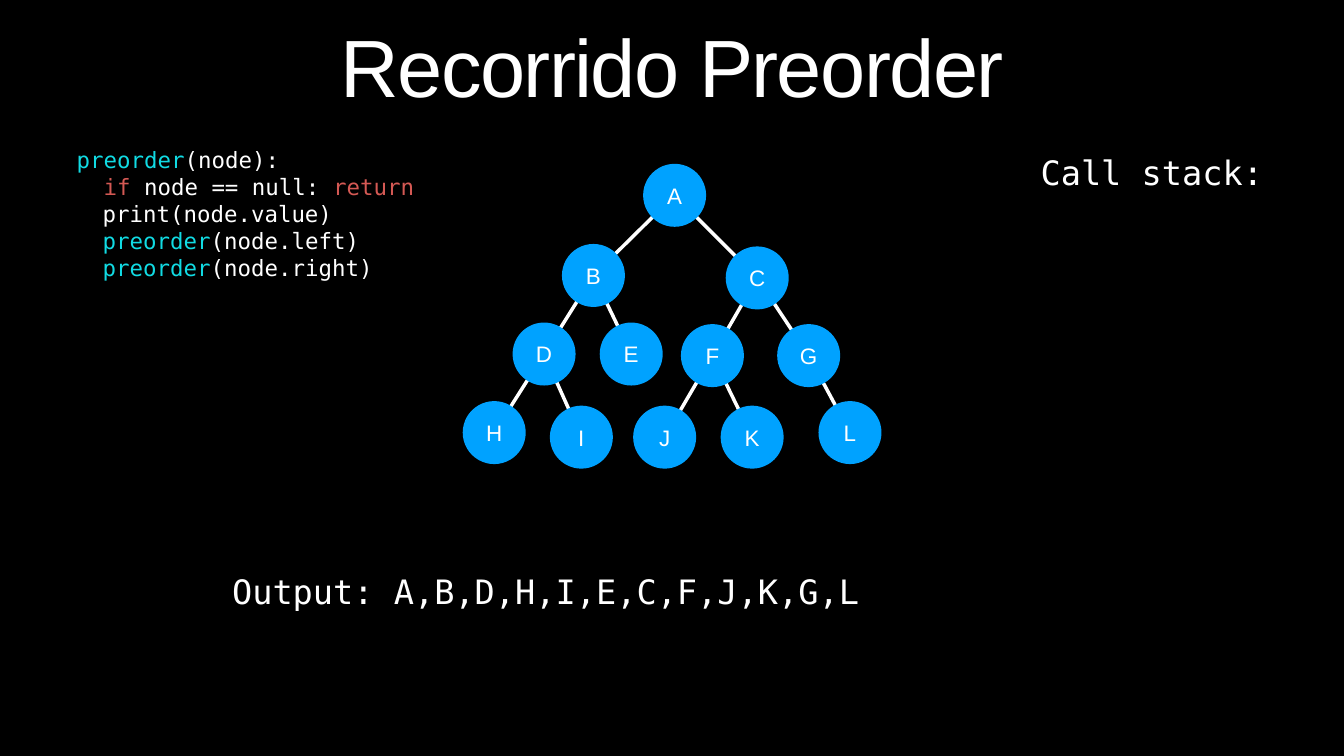
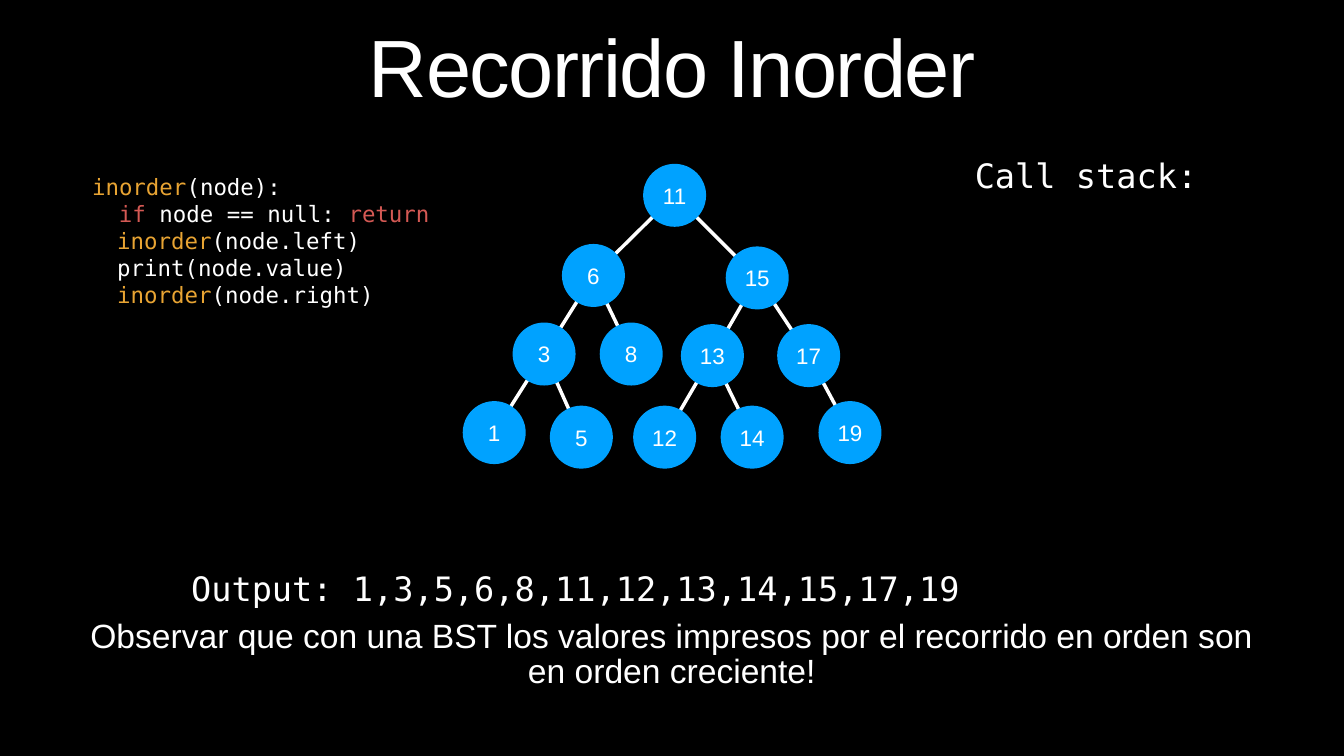
from dataclasses import dataclass
from math import hypot

from lxml import etree
from pptx import Presentation
from pptx.dml.color import RGBColor
from pptx.enum.shapes import MSO_CONNECTOR, MSO_SHAPE
from pptx.enum.text import MSO_ANCHOR, MSO_AUTO_SIZE, PP_ALIGN
from pptx.oxml.ns import qn
from pptx.util import Pt

LEFT, CENTER = PP_ALIGN.LEFT, PP_ALIGN.CENTER
TOP, MIDDLE = MSO_ANCHOR.TOP, MSO_ANCHOR.MIDDLE
FIXED, GROW = MSO_AUTO_SIZE.NONE, MSO_AUTO_SIZE.SHAPE_TO_FIT_TEXT
OVAL, STRAIGHT = MSO_SHAPE.OVAL, MSO_CONNECTOR.STRAIGHT


@dataclass(frozen=True)
class Theme:
    back: str = "000000"
    text: str = "FFFFFF"
    node: str = "00A2FF"
    key: str = "D45954"
    cyan: str = "11DBE3"
    gold: str = "E8A433"
    sans: str = "Arial"
    mono: str = "DejaVu Sans Mono"
    head: int = 116
    large: int = 48
    small: int = 32
    edge: int = 5


THEME = Theme()
WIDTH, HEIGHT = 1920, 1080
TITLE_BOX = (381, 27.5, 1158.5, 155.5)
RADIUS, TRIM = 45, 43
CODE_SIZE = (540.5, 201.5)

CENTERS = [
    (963.75, 279),
    (847.75, 393.5), (1081.75, 397),
    (777.25, 505.75), (901.75, 505.75), (1017.75, 508), (1155.25, 508),
    (706, 618), (830.5, 624.5), (949.5, 624.5), (1074.5, 624.5), (1214.25, 618),
]
PARENTS = {1: 0, 2: 0, 3: 1, 4: 1, 5: 2, 6: 2, 7: 3, 8: 3, 9: 5, 10: 5, 11: 6}

GUARD = [("if", "key"), (" node == null: ", "text"), ("return", "key")]
PRINT = [("print(node.value)", "text")]


def call(name, hue, arg):
    return [(name, hue), (f"({arg})", "text")]


SLIDES = [
    {
        "title": "Recorrido Preorder",
        "nodes": "A B C D E F G H I J K L".split(),
        "stack": (1480.5, 211.5, 377.5, 127.5),
        "output": ("Output: A,B,D,H,I,E,C,F,J,K,G,L", (325.5, 809.5, 1269.5, 69)),
        "code": [
            (0, [("preorder", "cyan"), ("(node):", "text")]),
            (38.5, GUARD),
            (37.25, PRINT),
            (37.25, call("preorder", "cyan", "node.left")),
            (37.25, call("preorder", "cyan", "node.right")),
        ],
        "corner": (103.5, 203),
    },
    {
        "title": "Recorrido Inorder",
        "nodes": "11 6 15 3 8 13 17 1 5 12 14 19".split(),
        "stack": (1386.5, 215.5, 377.5, 69),
        "output": ("Output: 1,3,5,6,8,11,12,13,14,15,17,19", (267, 805, 1432, 69)),
        "code": [
            (0, [("inorder", "gold"), ("(node):", "text")]),
            (38.5, GUARD),
            (36, call("inorder", "gold", "node.left")),
            (36, PRINT),
            (36, call("inorder", "gold", "node.right")),
        ],
        "corner": (125.5, 242),
        "note": [
            "Observar que con una BST los valores impresos por el recorrido en orden son",
            "en orden creciente!",
        ],
    },
]
NOTE_BOX = (121, 892, 1677.5, 116)


def rgb(name):
    return RGBColor.from_string(getattr(THEME, name))


def apply(item, values):
    for name, value in values.items():
        setattr(item, name, value)


def place(shape, box):
    apply(shape, dict(zip(("left", "top", "width", "height"), map(Pt, box))))


def write(shape, lines, size, font, align=LEFT, anchor=TOP, fit=GROW,
          wrap=True, inset=6, track=None, spacing=None):
    frame = shape.text_frame
    sides = ("left", "right", "top", "bottom")
    apply(frame, {f"margin_{side}": Pt(inset) for side in sides})
    apply(frame, {"word_wrap": wrap, "auto_size": fit, "vertical_anchor": anchor})
    for row, (indent, parts) in enumerate(lines):
        para = frame.paragraphs[0] if row == 0 else frame.add_paragraph()
        apply(para, {"alignment": align, **(spacing or {})})
        if indent:
            props = para._p.get_or_add_pPr()
            props.set("marL", str(Pt(indent)))
            props.set("indent", "0")
        for text, hue in parts:
            run = para.add_run()
            run.text = text
            apply(run.font, {"size": Pt(size), "name": font})
            run.font.color.rgb = rgb(hue)
            if track:
                run._r.get_or_add_rPr().set("spc", str(track))


def plain(text):
    return [(0, [(text, "text")])]


def add_text(slide, box, lines, size, font, **style):
    shape = slide.shapes.add_textbox(*map(Pt, box))
    write(shape, lines, size, font, **style)


def add_edge(group, child, root):
    (x1, y1), (x2, y2) = child, root
    span = hypot(x2 - x1, y2 - y1)
    dx, dy = (x2 - x1) * TRIM / span, (y2 - y1) * TRIM / span
    ends = (x1 + dx, y1 + dy, x2 - dx, y2 - dy)
    edge = group.shapes.add_connector(STRAIGHT, *map(Pt, ends))
    edge.line.width = Pt(THEME.edge)
    edge.line.color.rgb = rgb("text")
    etree.SubElement(edge._element.spPr, qn("a:effectLst"))


def add_node(group, center, label):
    x, y = center
    box = (x - RADIUS, y - RADIUS, 2 * RADIUS, 2 * RADIUS)
    node = group.shapes.add_shape(OVAL, *map(Pt, box))
    node.shadow.inherit = False
    node.fill.solid()
    node.fill.fore_color.rgb = rgb("node")
    node.line.fill.background()
    write(node, plain(label), THEME.small, THEME.sans,
          align=CENTER, anchor=MIDDLE, fit=FIXED)


def add_tree(slide, labels):
    group = slide.shapes.add_group_shape()
    for child, root in PARENTS.items():
        add_edge(group, CENTERS[child], CENTERS[root])
    for center, label in zip(CENTERS, labels):
        add_node(group, center, label)


def add_slide(deck, data):
    slide = deck.slides.add_slide(deck.slide_layouts[5])
    title = slide.shapes.title
    place(title, TITLE_BOX)
    write(title, plain(data["title"]), THEME.head, THEME.sans, align=CENTER,
          anchor=MIDDLE, fit=FIXED, inset=4, track=-230,
          spacing={"line_spacing": 0.8})
    add_tree(slide, data["nodes"])
    output, box = data["output"]
    add_text(slide, data["stack"], plain("Call stack:"), THEME.large, THEME.mono)
    add_text(slide, box, plain(output), THEME.large, THEME.mono)
    add_text(slide, data["corner"] + CODE_SIZE, data["code"], THEME.small, THEME.mono)
    if "note" in data:
        lines = [line for text in data["note"] for line in plain(text)]
        add_text(slide, NOTE_BOX, lines, THEME.large, THEME.sans, align=CENTER,
                 anchor=MIDDLE, wrap=False, inset=4,
                 spacing={"line_spacing": 0.1, "space_before": Pt(45)})


def main():
    deck = Presentation()
    apply(deck, {"slide_width": Pt(WIDTH), "slide_height": Pt(HEIGHT)})
    fill = deck.slide_master.background.fill
    fill.solid()
    fill.fore_color.rgb = rgb("back")
    for data in SLIDES:
        add_slide(deck, data)
    deck.save("out.pptx")


if __name__ == "__main__":
    main()
